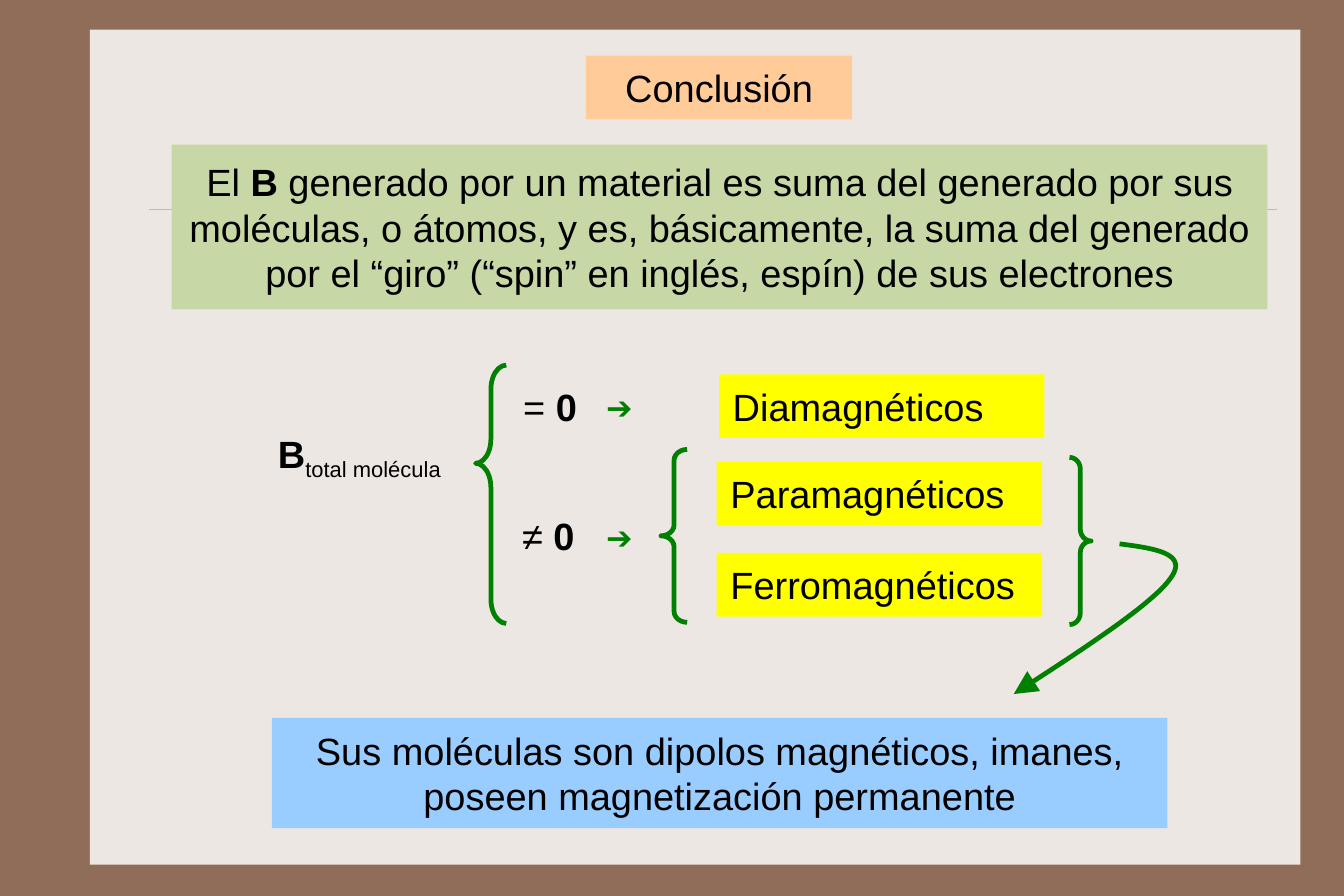
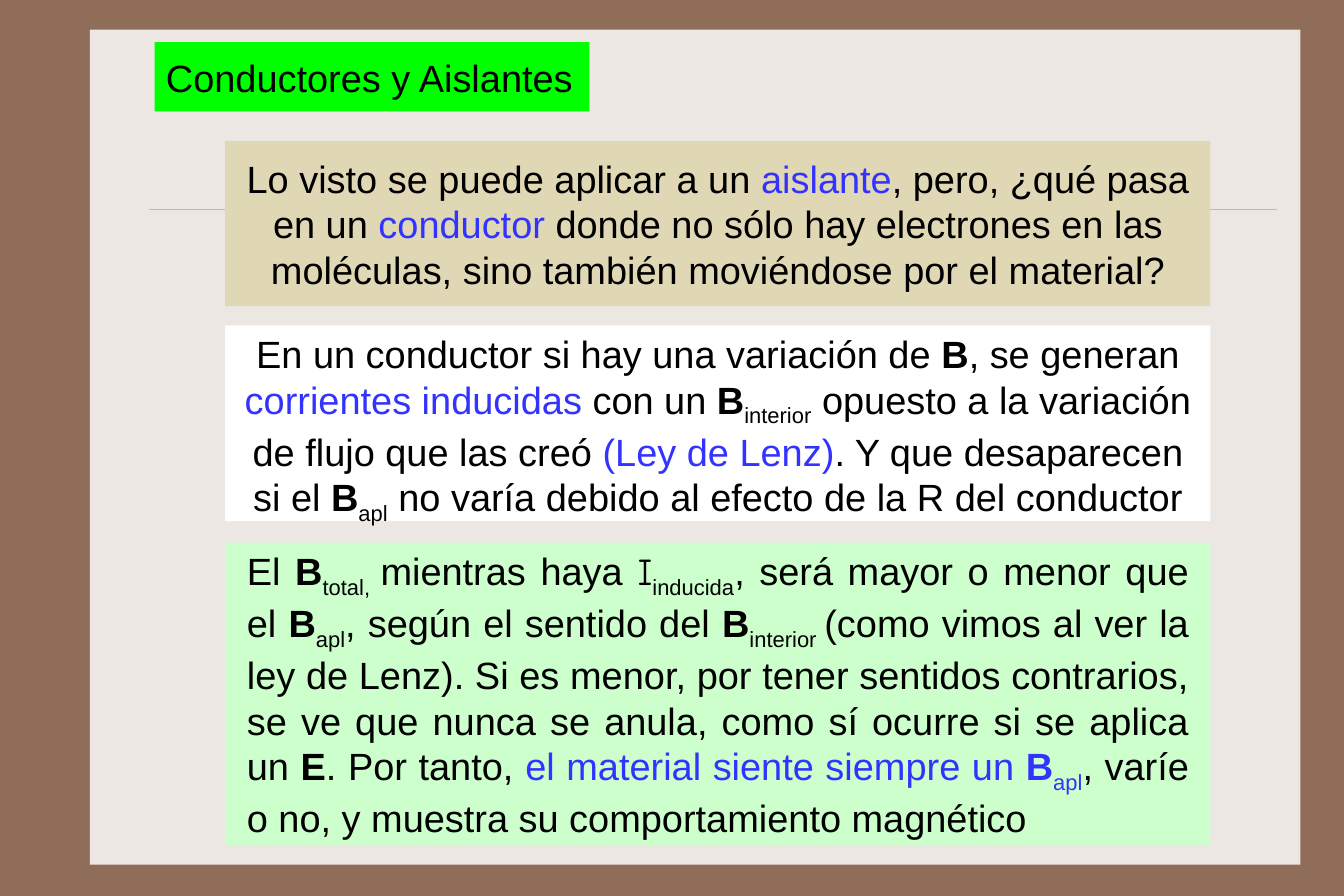
"""Build two slides on magnetic materials, conductors and insulators."""
import lxml.etree
import pptx
import pptx.dml.color
import pptx.enum.shapes
import pptx.enum.text
import pptx.oxml.ns
import pptx.util

Inches = pptx.util.Inches
Shape = pptx.enum.shapes.MSO_SHAPE
Align = pptx.enum.text.PP_ALIGN
Anchor = pptx.enum.text.MSO_ANCHOR

PAGE_WIDTH, PAGE_HEIGHT = Inches(189 / 16), Inches(63 / 8)
FRAME, PAPER, RULE = "906D58", "EDE7E3", "CBBD83"
BLACK, GREEN, BLUE, YELLOW = "000000", "008000", "3333FF", "FFFF00"
TIGHT, ROOMY, WIDE, PLAIN, LABEL = (0.12, 0.08), (0.12, 0.12), (0.19, 0.12), (0.1, 0.05), (0.1, 0.09)
BOLD = {"bold": True}
SUB = {"sub": True}
KEY = {"color": BLUE}

CONCLUSION = [
    {"at": (5.15, 0.49, 2.34, 0.56), "fill": "FFCC99", "align": Align.CENTER, "text": [("Conclusión", {})]},
    {"at": (1.51, 1.27, 9.63, 1.45), "fill": "C7D7A5", "align": Align.CENTER, "inset": ROOMY, "text": [
        ("El ", {}), ("B", BOLD),
        (" generado por un material es suma del generado por sus moléculas, o átomos, y es, "
         "básicamente, la suma del generado por el “giro” (“spin” en inglés, espín) de sus electrones", {})]},
    {"at": (2.18, 3.69, 1.96, 0.64), "align": Align.CENTER, "inset": ROOMY, "text": [
        ("B", BOLD), ("total molécula", SUB)]},
    {"at": (2.39, 6.31, 7.87, 0.97), "fill": "99CCFF", "align": Align.CENTER, "text": [
        ("Sus moléculas son dipolos magnéticos, imanes, poseen magnetización permanente", {})]},
]
CASES = [("= ", 4.5, 3.28), ("≠ ", 4.49, 4.41)]
ARROW_TOPS = [3.32, 4.46]
MATERIALS = [("Diamagnéticos", 6.32, 3.29), ("Paramagnéticos", 6.3, 4.06), ("Ferromagnéticos", 6.3, 4.86)]
BRACES = [
    (Shape.LEFT_BRACE, (4.18, 3.21, 0.27, 2.27), (0.79, 0.38)),
    (Shape.LEFT_BRACE, (5.81, 3.95, 0.23, 1.52), (0.42, 0.5)),
    (Shape.RIGHT_BRACE, (9.4, 4.02, 0.19, 1.47), (0.54, 0.5)),
]
CURVES = [
    [(9.84, 4.78), (10.14, 4.82), (10.45, 4.86), (10.29, 5.08)],
    [(10.29, 5.08), (10.14, 5.3), (9.53, 5.7), (8.91, 6.1)],
]

COLUMN_LEFT, COLUMN_WIDTH = 1.98, 8.66
CONDUCTORS = [
    {"at": (COLUMN_LEFT, 4.77, COLUMN_WIDTH, 2.66), "fill": "CCFFCC", "align": Align.JUSTIFY, "inset": WIDE, "text": [
        ("El ", {}), ("B", BOLD), ("total, ", SUB), ("mientras haya ", {}), ("I", {"font": "Comic Neue"}),
        ("inducida", SUB), (", será mayor o menor que el ", {}), ("B", BOLD), ("apl", SUB),
        (", según el sentido del ", {}), ("B", BOLD), ("interior ", SUB),
        ("(como vimos al ver la ley de Lenz). Si es menor, por tener sentidos contrarios, se ve que "
         "nunca se anula, como sí ocurre si se aplica un ", {}),
        ("E", BOLD), (". Por tanto, ", {}), ("el material siente siempre un ", KEY),
        ("B", {**BOLD, **KEY}), ("apl", {**SUB, **KEY}),
        (", varíe o no, y muestra su comportamiento magnético", {})]},
    {"at": (COLUMN_LEFT, 1.24, COLUMN_WIDTH, 1.45), "fill": "E0D7B5", "align": Align.CENTER, "inset": ROOMY, "text": [
        ("Lo visto se puede aplicar a un ", {}), ("aislante", KEY), (", pero, ¿qué pasa en un ", {}),
        ("conductor", KEY),
        (" donde no sólo hay electrones en las moléculas, sino también moviéndose por el material?", {})]},
    {"at": (COLUMN_LEFT, 2.86, COLUMN_WIDTH, 1.72), "fill": "FFFFFF", "align": Align.CENTER, "inset": PLAIN,
     "anchor": Anchor.TOP, "text": [
        ("En un conductor si hay una variación de ", {}), ("B", BOLD), (", se generan ", {}),
        ("corrientes inducidas ", KEY), ("con un ", {}), ("B", BOLD), ("interior", SUB),
        (" opuesto a la variación de flujo que las creó ", {}), ("(Ley de Lenz)", KEY),
        (". Y que desaparecen si el ", {}), ("B", BOLD), ("apl", SUB),
        (" no varía debido al efecto de la R del conductor", {})]},
    {"at": (1.36, 0.37, 3.82, 0.61), "fill": "00FF00", "inset": PLAIN, "text": [("Conductores y Aislantes", {})]},
]


def rgb(value):
    """Turn a hex string into a colour."""
    return pptx.dml.color.RGBColor.from_string(value)


def paint(item, fill=None, line=None, width=3):
    """Set the fill and the line of a shape, without shadow."""
    item.shadow.inherit = False
    if fill:
        item.fill.solid()
        item.fill.fore_color.rgb = rgb(fill)
    else:
        item.fill.background()
    if line:
        item.line.color.rgb = rgb(line)
        item.line.width = pptx.util.Pt(width)
    else:
        item.line.fill.background()


def add_span(para, text, bold=False, sub=False, color=BLACK, font="Arial", size=24):
    """Add one run to a paragraph."""
    span = para.add_run()
    span.text = text
    span.font.name = font
    span.font.size = pptx.util.Pt(size)
    span.font.bold = bold
    span.font.color.rgb = rgb(color)
    if sub:
        span.font._element.set("baseline", "-25000")


def add_box(page, at, text, fill=None, align=Align.LEFT, inset=TIGHT, anchor=Anchor.MIDDLE):
    """Add a block of text, filled or bare."""
    place = [Inches(length) for length in at]
    if fill:
        box = page.shapes.add_shape(Shape.RECTANGLE, *place)
        paint(box, fill)
    else:
        box = page.shapes.add_textbox(*place)
    frame = box.text_frame
    frame.word_wrap = True
    frame.vertical_anchor = anchor
    frame.margin_left = frame.margin_right = Inches(inset[0])
    frame.margin_top = frame.margin_bottom = Inches(inset[1])
    para = frame.paragraphs[0]
    para.alignment = align
    for words, style in text:
        add_span(para, words, **style)


def add_page(deck):
    """Add a page with the shared frame, paper and rule."""
    page = deck.slides.add_slide(deck.slide_layouts[6])
    page.background.fill.solid()
    page.background.fill.fore_color.rgb = rgb(FRAME)
    paper = page.shapes.add_shape(Shape.RECTANGLE, Inches(0.79), Inches(0.26), Inches(10.64), Inches(7.34))
    paint(paper, PAPER)
    rule = page.shapes.add_connector(
        pptx.enum.shapes.MSO_CONNECTOR.STRAIGHT, Inches(1.31), Inches(1.84), Inches(11.22), Inches(1.84))
    rule.line.color.rgb = rgb(RULE)
    rule.line.width = pptx.util.Pt(0.25)
    lxml.etree.SubElement(rule._element.spPr, pptx.oxml.ns.qn("a:effectLst"))
    return page


def curve_points(curve, steps=24):
    """Work out points along a cubic curve."""
    for step in range(steps + 1):
        t = step / steps
        weights = ((1 - t) ** 3, 3 * t * (1 - t) ** 2, 3 * t * t * (1 - t), t ** 3)
        yield tuple(Inches(sum(w * point[axis] for w, point in zip(weights, curve))) for axis in (0, 1))


def add_curved_arrow(page):
    """Draw the arrow from the brace to the closing statement."""
    points = [point for curve in CURVES for point in curve_points(curve)]
    builder = page.shapes.build_freeform(*points[0])
    builder.add_line_segments(points[1:], close=False)
    arrow = builder.convert_to_shape()
    paint(arrow, line=GREEN)
    line = arrow.line._get_or_add_ln()
    lxml.etree.SubElement(line, pptx.oxml.ns.qn("a:round"))
    lxml.etree.SubElement(line, pptx.oxml.ns.qn("a:tailEnd"), type="triangle", w="lg", len="lg")


def add_scheme(page):
    """Draw the classification of materials with braces and arrows."""
    for sign, left, top in CASES:
        add_box(page, (left, top, 0.72, 0.59), [(sign, {}), ("0", BOLD)], inset=LABEL)
    for top in ARROW_TOPS:
        add_box(page, (5.23, top, 0.55, 0.51), [("➔", {"size": 20, "color": GREEN})], inset=LABEL)
    for name, left, top in MATERIALS:
        add_box(page, (left, top, 2.86, 0.56), [(name, {})], YELLOW)
    for kind, at, bends in BRACES:
        brace = page.shapes.add_shape(kind, *[Inches(length) for length in at])
        paint(brace, line=GREEN)
        for index, bend in enumerate(bends):
            brace.adjustments[index] = bend
    add_curved_arrow(page)


def main():
    """Build and save the deck."""
    deck = pptx.Presentation()
    deck.slide_width, deck.slide_height = PAGE_WIDTH, PAGE_HEIGHT
    pages = []
    for boxes in (CONCLUSION, CONDUCTORS):
        page = add_page(deck)
        for box in boxes:
            add_box(page, **box)
        pages.append(page)
    add_scheme(pages[0])
    deck.save("out.pptx")


if __name__ == "__main__":
    main()
